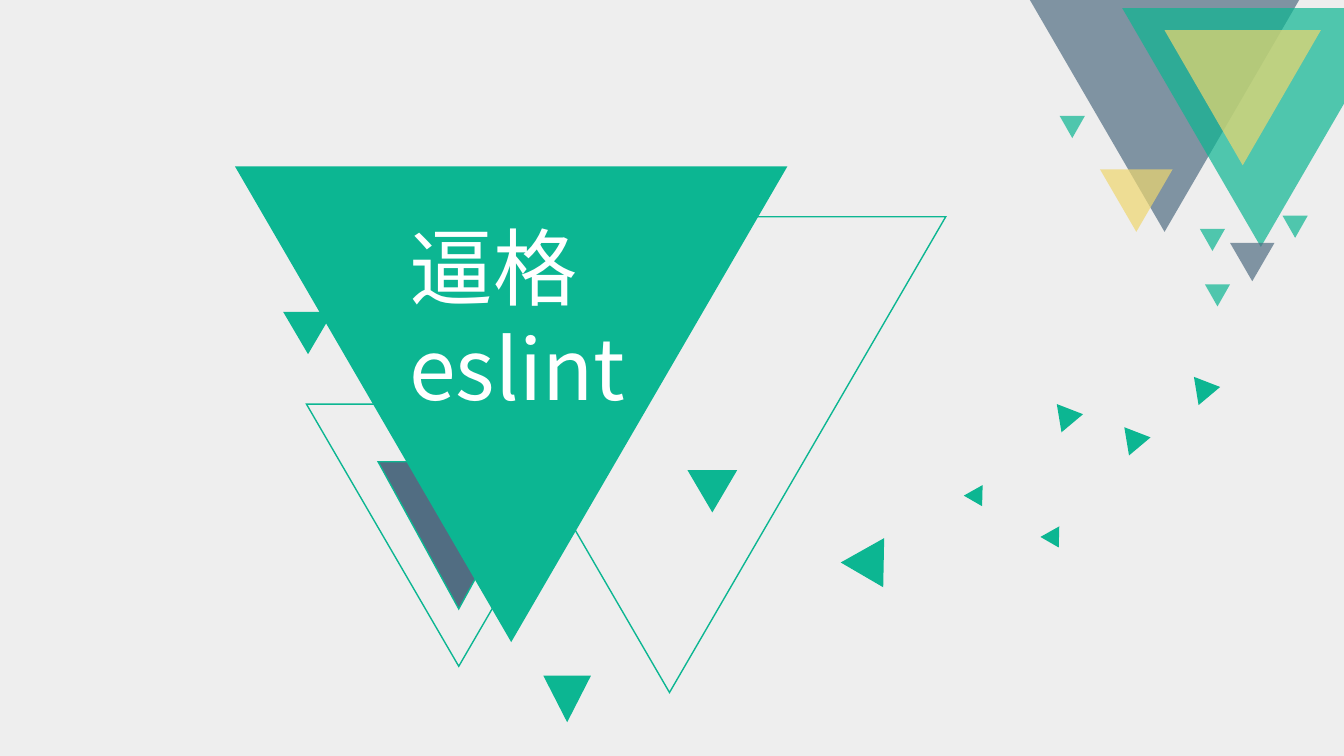
from lxml import etree
from pptx import Presentation
from pptx.dml.color import RGBColor
from pptx.enum.shapes import MSO_SHAPE
from pptx.enum.text import MSO_ANCHOR, MSO_AUTO_SIZE, PP_ALIGN
from pptx.oxml.ns import qn
from pptx.util import Inches, Pt

GREEN = RGBColor(0x0C, 0xB6, 0x92)
SLATE = RGBColor(0x51, 0x6D, 0x82)
YELLOW = RGBColor(0xEE, 0xD6, 0x6F)
WHITE = RGBColor(0xFF, 0xFF, 0xFF)
BACKGROUND = RGBColor(0xEE, 0xEE, 0xEE)
FONT = "Noto Sans CJK SC"
TITLE_ONLY = 5

# left, top, width, height, colour
CORNER_CLUSTER = [
    (10, -0.37, 3.1, 2.67, SLATE),
    (11.13, 0.08, 2.75, 2.37, GREEN),
    (11.55, 0.3, 1.55, 1.34, YELLOW),
    (10.91, 1.68, 0.72, 0.62, YELLOW),
    (12.72, 2.14, 0.25, 0.22, GREEN),
    (11.95, 2.82, 0.25, 0.22, GREEN),
    (11.9, 2.27, 0.25, 0.22, GREEN),
    (12.2, 2.41, 0.44, 0.38, SLATE),
    (10.51, 1.15, 0.25, 0.22, GREEN),
]
# left, top, width, height, fill
OUTLINED = [
    (3.9, 2.15, 5.48, 4.72, None),
    (2.82, 3.1, 0.47, 0.4, GREEN),
    (3.04, 4.01, 3.02, 2.6, None),
    (5.4, 6.71, 0.45, 0.44, GREEN),
    (6.83, 4.67, 0.47, 0.4, GREEN),
    (3.75, 4.58, 1.6, 1.46, SLATE),
]
# left, top, width, height, rotation
SCATTERED = [
    (8.42, 5.44, 0.47, 0.4, 150.7),
    (9.6, 4.86, 0.19, 0.16, 150.7),
    (10.36, 5.27, 0.19, 0.16, 150.7),
    (11.85, 3.75, 0.26, 0.22, 80.6),
    (10.49, 4.02, 0.26, 0.22, 80.6),
    (11.16, 4.25, 0.26, 0.22, 80.6),
]


class CoverSlide:
    def __init__(self, presentation):
        self.slide = presentation.slides.add_slide(presentation.slide_layouts[TITLE_ONLY])
        background = self.slide.background.fill
        background.solid()
        background.fore_color.rgb = BACKGROUND

    def triangle(self, left, top, width, height, fill=None, line=None,
                 rotation=180, opacity=100):
        triangle = self.slide.shapes.add_shape(
            MSO_SHAPE.ISOSCELES_TRIANGLE,
            Inches(left), Inches(top), Inches(width), Inches(height))
        triangle.rotation = rotation
        triangle.shadow.inherit = False
        if fill is None:
            triangle.fill.background()
        else:
            triangle.fill.solid()
            triangle.fill.fore_color.rgb = fill
        if opacity < 100:
            colour = triangle.element.spPr.find(qn("a:solidFill"))[0]
            etree.SubElement(colour, qn("a:alpha"), val=str(opacity * 1000))
        if line is None:
            triangle.line.fill.background()
        else:
            triangle.line.color.rgb = line
            triangle.line.width = Pt(1)
            outline = triangle.element.spPr.find(qn("a:ln"))
            etree.SubElement(outline, qn("a:miter"), lim="800000")

    def title(self, lines, left, top, width, height):
        """Fill the title placeholder and bring it in front of the triangles."""
        title = self.slide.shapes.title
        title.left, title.top = Inches(left), Inches(top)
        title.width, title.height = Inches(width), Inches(height)
        frame = title.text_frame
        frame.text = "\n".join(lines)
        frame.word_wrap = False
        frame.auto_size = MSO_AUTO_SIZE.NONE
        frame.vertical_anchor = MSO_ANCHOR.TOP
        for paragraph in frame.paragraphs:
            paragraph.alignment = PP_ALIGN.LEFT
            paragraph.line_spacing = 1.0
            paragraph.font.size = Pt(60)
            paragraph.font.color.rgb = WHITE
            paragraph.font.name = FONT
        for defaults in title.element.iter(qn("a:defRPr")):
            etree.SubElement(defaults, qn("a:ea"), typeface=FONT)
        title.element.getparent().append(title.element)


def main():
    presentation = Presentation()
    presentation.slide_width = Inches(13.33)
    presentation.slide_height = Inches(7.5)

    cover = CoverSlide(presentation)
    for *box, colour in CORNER_CLUSTER:
        cover.triangle(*box, fill=colour, opacity=70)
    for *box, fill in OUTLINED:
        cover.triangle(*box, fill=fill, line=GREEN)
    for *box, rotation in SCATTERED:
        cover.triangle(*box, fill=GREEN, line=GREEN, rotation=rotation)
    cover.triangle(2.33, 1.65, 5.48, 4.72, fill=GREEN)
    cover.title(["逼格", "eslint"], 3.96, 2.09, 2.35, 2.12)

    presentation.save("out.pptx")


if __name__ == "__main__":
    main()
